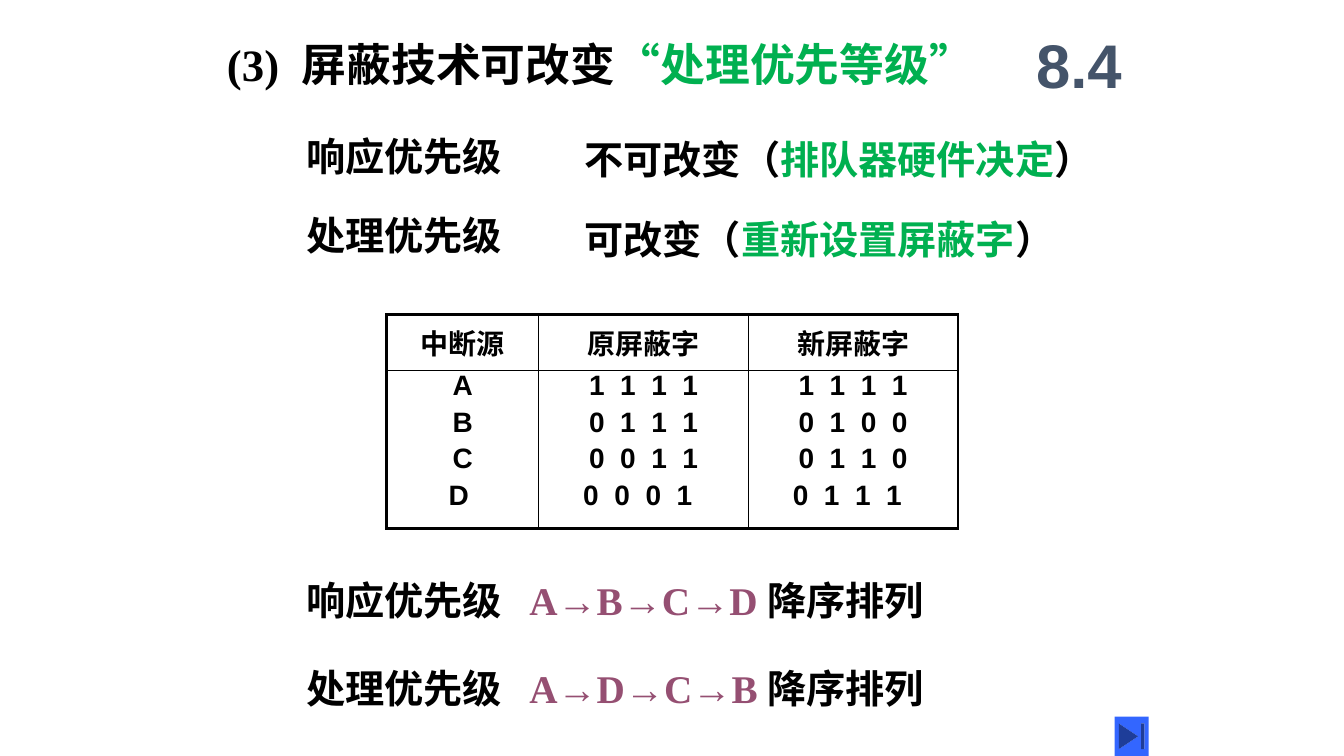
from dataclasses import dataclass

from lxml import etree
from pptx import Presentation
from pptx import util as u
from pptx.dml.color import RGBColor
from pptx.enum import lang, shapes, text
from pptx.oxml.ns import qn


@dataclass(frozen=True)
class Theme:
    ink: str = "000000"
    green: str = "00B050"
    plum: str = "954F72"
    slate: str = "44546A"
    button: str = "3366FF"
    serif: str = "Times New Roman"
    sans: str = "Arial"
    title_size: float = 32
    body_size: float = 28
    table_size: float = 20
    section_size: float = 44
    outer_border: float = 2.25
    inner_border: float = 1
    bit_spacing: float = 2.78
    number_spacing: float = 8


THEME = Theme()

# Each line is a list of (text, colour[, letter spacing in points]) runs.
# Boxes are left, top, width, height in cm.
TITLE = [("(3)", THEME.ink), (" ", THEME.ink, THEME.number_spacing),
         ("屏蔽技术可改变", THEME.ink), ("“处理优先等级”", THEME.green)]
TITLE_BOX = (5.72, 0.91, 19.8, 1.4)
SECTION = [("8.4", THEME.slate)]
SECTION_BOX = (25.6, 0.43, 3.18, 2.34)

LABELS = [[("响应优先级", THEME.ink)], [("处理优先级", THEME.ink)]]
CHANGES = [
    [("不可改变（", THEME.ink), ("排队器硬件决定", THEME.green), ("）", THEME.ink)],
    [("可改变（", THEME.ink), ("重新设置屏蔽字", THEME.green), ("）", THEME.ink)],
]
ORDERS = [
    [("A→B→C→D ", THEME.plum), ("降序排列", THEME.ink)],
    [("A→D→C→B ", THEME.plum), ("降序排列", THEME.ink)],
]
CHANGE_GAP, ORDER_GAP = 23.4, 29
# Box, lines and gap between lines in points.
BODIES = [
    ((7.72, 3.32, 5.94, 3.2), LABELS, CHANGE_GAP),
    ((14.73, 3.42, 13.5, 3.2), CHANGES, CHANGE_GAP),
    ((7.72, 14.52, 5.4, 3.4), LABELS, ORDER_GAP),
    ((13.34, 14.52, 12, 3.4), ORDERS, ORDER_GAP),
]

HEADERS = ["中断源", "原屏蔽字", "新屏蔽字"]
MASKS = [("A", "1 1 1 1", "1 1 1 1"), ("B", "0 1 1 1", "0 1 0 0"),
         ("C", "0 0 1 1", "0 1 1 0"), ("D ", "0 0 0 1 ", "0 1 1 1 ")]
TABLE_CORNER = (9.74, 7.93)
COLUMN_WIDTHS = [3.84, 5.28, 5.28]
ROW_HEIGHTS = [1.4, 3.99]
MASK_GAP = 3.85
BUTTON_BOX = (28.09, 18.06, 0.86, 0.99)


def lengths(values):
    return [u.Cm(value) for value in values]


def write(paragraph, runs, size, font_name, align=text.PP_ALIGN.LEFT, gap=0):
    """Fill a paragraph with coloured runs, without bullet or indent."""
    paragraph.alignment = align
    paragraph.line_spacing = 1.0
    paragraph.space_before = u.Pt(gap)
    properties = paragraph._p.get_or_add_pPr()
    properties.set("marL", "0")
    properties.set("indent", "0")
    etree.SubElement(properties, qn("a:buNone"))
    paragraph.font.size = u.Pt(size)
    paragraph.font.name = font_name
    paragraph.font.bold = True
    for content, colour, *spacing in runs:
        run = paragraph.add_run()
        run.text = content
        run.font.color.rgb = RGBColor.from_string(colour)
        run.font.language_id = lang.MSO_LANGUAGE_ID.SIMPLIFIED_CHINESE
        if spacing:
            run._r.get_or_add_rPr().set("spc", str(round(spacing[0] * 100)))


def write_lines(frame, lines, size, font_name, gap=0, **format_options):
    for index, runs in enumerate(lines):
        paragraph = frame.add_paragraph() if index else frame.paragraphs[0]
        write(paragraph, runs, size, font_name, gap=gap if index else 0, **format_options)


def write_box(shape, box, lines, size, font_name, **format_options):
    shape.left, shape.top, shape.width, shape.height = lengths(box)
    frame = shape.text_frame
    frame.word_wrap = True
    frame.auto_size = text.MSO_AUTO_SIZE.NONE
    frame.vertical_anchor = text.MSO_ANCHOR.MIDDLE
    frame.margin_left = frame.margin_right = frame.margin_top = frame.margin_bottom = 0
    write_lines(frame, lines, size, font_name, **format_options)


def set_borders(cell, row, column):
    """Draw a thick line on the table's outline and thin lines inside it."""
    outer_sides = {"lnL": column == 0, "lnR": column == len(HEADERS) - 1,
                   "lnT": row == 0, "lnB": row == len(ROW_HEIGHTS) - 1}
    properties = cell._tc.get_or_add_tcPr()
    for side, is_outer in outer_sides.items():
        width = THEME.outer_border if is_outer else THEME.inner_border
        line = etree.SubElement(properties, qn(f"a:{side}"), w=str(u.Pt(width)))
        fill = etree.SubElement(line, qn("a:solidFill"))
        etree.SubElement(fill, qn("a:srgbClr"), val=THEME.ink)


def add_mask_table(slide):
    frame = slide.shapes.add_table(
        len(ROW_HEIGHTS), len(HEADERS), *lengths(TABLE_CORNER),
        u.Cm(sum(COLUMN_WIDTHS)), u.Cm(sum(ROW_HEIGHTS)))
    table = frame.table
    table.first_row = table.horz_banding = False
    for row, height in enumerate(ROW_HEIGHTS):
        table.rows[row].height = u.Cm(height)
    for column, header in enumerate(HEADERS):
        table.columns[column].width = u.Cm(COLUMN_WIDTHS[column])
        spacing = THEME.bit_spacing if column else 0
        values = [[(mask[column], THEME.ink, spacing)] for mask in MASKS]
        for row, lines in enumerate([[[(header, THEME.ink)]], values]):
            cell = table.cell(row, column)
            cell.margin_left = cell.margin_right = cell.margin_top = cell.margin_bottom = 0
            cell.vertical_anchor = text.MSO_ANCHOR.TOP if row else text.MSO_ANCHOR.MIDDLE
            set_borders(cell, row, column)
            cell.fill.background()
            write_lines(cell.text_frame, lines, THEME.table_size, THEME.sans,
                        gap=MASK_GAP, align=text.PP_ALIGN.CENTER)


def add_end_button(slide):
    button = slide.shapes.add_shape(
        shapes.MSO_SHAPE.ACTION_BUTTON_END, *lengths(BUTTON_BOX))
    button.shadow.inherit = False
    button.fill.solid()
    button.fill.fore_color.rgb = RGBColor.from_string(THEME.button)
    button.line.fill.background()


def main():
    presentation = Presentation()
    presentation.slide_width, presentation.slide_height = lengths((33.87, 19.05))
    comparison = presentation.slide_layouts[4]
    slide = presentation.slides.add_slide(comparison)
    title, *body_shapes = slide.placeholders

    write_box(title, TITLE_BOX, [TITLE], THEME.title_size, THEME.serif)
    for shape, (box, lines, gap) in zip(body_shapes, BODIES):
        write_box(shape, box, lines, THEME.body_size, THEME.serif, gap=gap)
    section = slide.shapes.add_textbox(*lengths(SECTION_BOX))
    write_box(section, SECTION_BOX, [SECTION], THEME.section_size, THEME.sans,
              align=text.PP_ALIGN.CENTER)
    add_mask_table(slide)
    add_end_button(slide)
    presentation.save("out.pptx")


if __name__ == "__main__":
    main()
